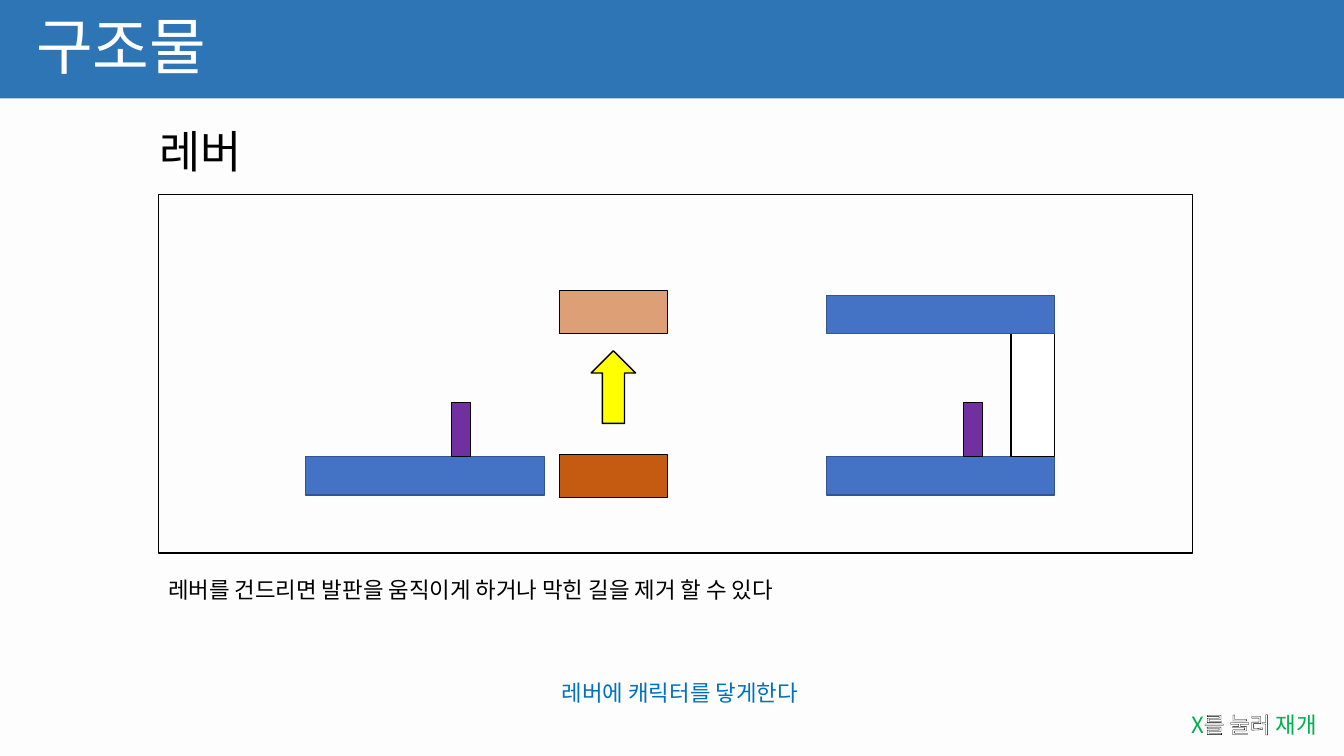
from lxml import etree
from pptx import Presentation
from pptx.dml.color import RGBColor
from pptx.enum import shapes, text
from pptx.oxml import ns
from pptx.util import Cm, Pt

FONT = "Noto Sans CJK KR"
BLACK, WHITE, GREEN = "000000", "FFFFFF", "00B050"
BLUE, NAVY, BROWN, PURPLE = "4472C4", "325491", "C55A11", "7030A0"
RECT = shapes.MSO_SHAPE.RECTANGLE
ARROW = shapes.MSO_SHAPE.UP_ARROW
SLIDE_WIDTH, SLIDE_HEIGHT = 33.87, 19.05


def color(value):
    return RGBColor.from_string(value)


def add_block(page, box, fill=None, line=None, kind=RECT, opacity=None):
    block = page.shapes.add_shape(kind, *(Cm(length) for length in box))
    block.shadow.inherit = False
    if fill:
        block.fill.solid()
        block.fill.fore_color.rgb = color(fill)
    else:
        block.fill.background()
    if opacity:
        shade = block.fill._xPr.find(".//" + ns.qn("a:srgbClr"))
        etree.SubElement(shade, ns.qn("a:alpha"), val=str(opacity * 1000))
    if line:
        block.line.color.rgb = color(line)
        block.line.width = Pt(1)
    else:
        block.line.fill.background()


def outline(span):
    properties = span.font._element
    line = etree.Element(ns.qn("a:ln"), w=str(Pt(0.75)))
    fill = etree.SubElement(line, ns.qn("a:solidFill"))
    etree.SubElement(fill, ns.qn("a:srgbClr"), val=BLACK)
    properties.insert(0, line)


def add_text(page, box, spans, size=16, align=text.PP_ALIGN.LEFT,
             anchor=text.MSO_ANCHOR.MIDDLE, outlined=False, spacing=None):
    frame = page.shapes.add_textbox(*(Cm(length) for length in box)).text_frame
    frame.word_wrap = True
    frame.vertical_anchor = anchor
    para = frame.paragraphs[0]
    para.alignment = align
    if spacing:
        para.line_spacing = spacing
    for words, shade in spans:
        span = para.add_run()
        span.text = words
        span.font.size = Pt(size)
        span.font.name = FONT
        span.font.color.rgb = color(shade)
        east_asian = etree.SubElement(span.font._element, ns.qn("a:ea"))
        east_asian.set("typeface", FONT)
        if outlined:
            outline(span)


def add_header(page, left, top, width, height):
    # The page background forms the band; the pale body covers the rest
    page.background.fill.solid()
    page.background.fill.fore_color.rgb = color("2E75B6")
    add_block(page, (0, top + height, width, SLIDE_HEIGHT - height), "FDFDFD")
    add_text(page, (left + 0.66, top, 29.21, height), [("구조물", WHITE)],
             size=44, spacing=0.9)


def add_diagram(page, left, top, width, height):
    add_block(page, (left, top, width, height), line=BLACK)
    floor = top + 6.61
    ledge_height = 0.97
    lever_width, lever_height = 0.48, 1.37

    # Ledges, each with a lever standing on it
    right_ledge, right_width = left + 16.84, 5.74
    for ledge, ledge_width, offset in ((left + 3.71, 6.02, 3.68),
                                       (right_ledge, right_width, 3.45)):
        add_block(page, (ledge, floor, ledge_width, ledge_height), BLUE, NAVY)
        add_block(page, (ledge + offset, floor - lever_height,
                         lever_width, lever_height), PURPLE, BLACK)

    # Removable wall between the floor and the ceiling
    wall_width, wall_height = 1.09, 3.1
    add_block(page, (right_ledge + right_width - wall_width, floor - wall_height,
                     wall_width, wall_height), WHITE, BLACK)
    add_block(page, (right_ledge, floor - wall_height - ledge_height,
                     right_width, ledge_height), BLUE, NAVY)

    # Moving platform: start, faded end and direction
    platform, platform_width, platform_height = left + 10.11, 2.72, 1.09
    for rise, opacity in ((6.55, None), (2.42, 57)):
        add_block(page, (platform, top + rise, platform_width, platform_height),
                  BROWN, BLACK, opacity=opacity)
    arrow_width = 1.12
    add_block(page, (platform + (platform_width - arrow_width) / 2, top + 3.94,
                     arrow_width, 1.83), "FFFF00", BLACK, kind=ARROW)


def add_footer(page, left, top, width, height):
    # Hint in the middle, resume prompt at the right
    line_height = 0.94
    add_text(page, (left + 7.7, top, 18.87, line_height),
             [("레버에 캐릭터를 닿게한다", "0070C0")],
             align=text.PP_ALIGN.CENTER, outlined=True)
    add_text(page, (left + width - 10.22, top + height - line_height,
                    9.78, line_height),
             [("X", GREEN), ("를 눌러 ", WHITE), ("재개", GREEN)],
             align=text.PP_ALIGN.RIGHT, outlined=True)


def main():
    deck = Presentation()
    deck.slide_width, deck.slide_height = Cm(SLIDE_WIDTH), Cm(SLIDE_HEIGHT)
    page = deck.slides.add_slide(deck.slide_layouts[6])
    add_header(page, 0, 0, SLIDE_WIDTH, 2.48)
    # Section heading and caption around the diagram
    add_text(page, (3.76, 3, 7.62, 1.63), [("레버", BLACK)],
             size=32, anchor=text.MSO_ANCHOR.TOP)
    add_diagram(page, 3.99, 4.9, 26.06, 9.04)
    add_text(page, (3.99, 14.38, 18.87, 0.94),
             [("레버를 건드리면 발판을 움직이게 하거나 막힌 길을 제거 할 수 있다", BLACK)])
    add_footer(page, 0, 16.99, SLIDE_WIDTH, 1.73)
    deck.save("out.pptx")


if __name__ == "__main__":
    main()
